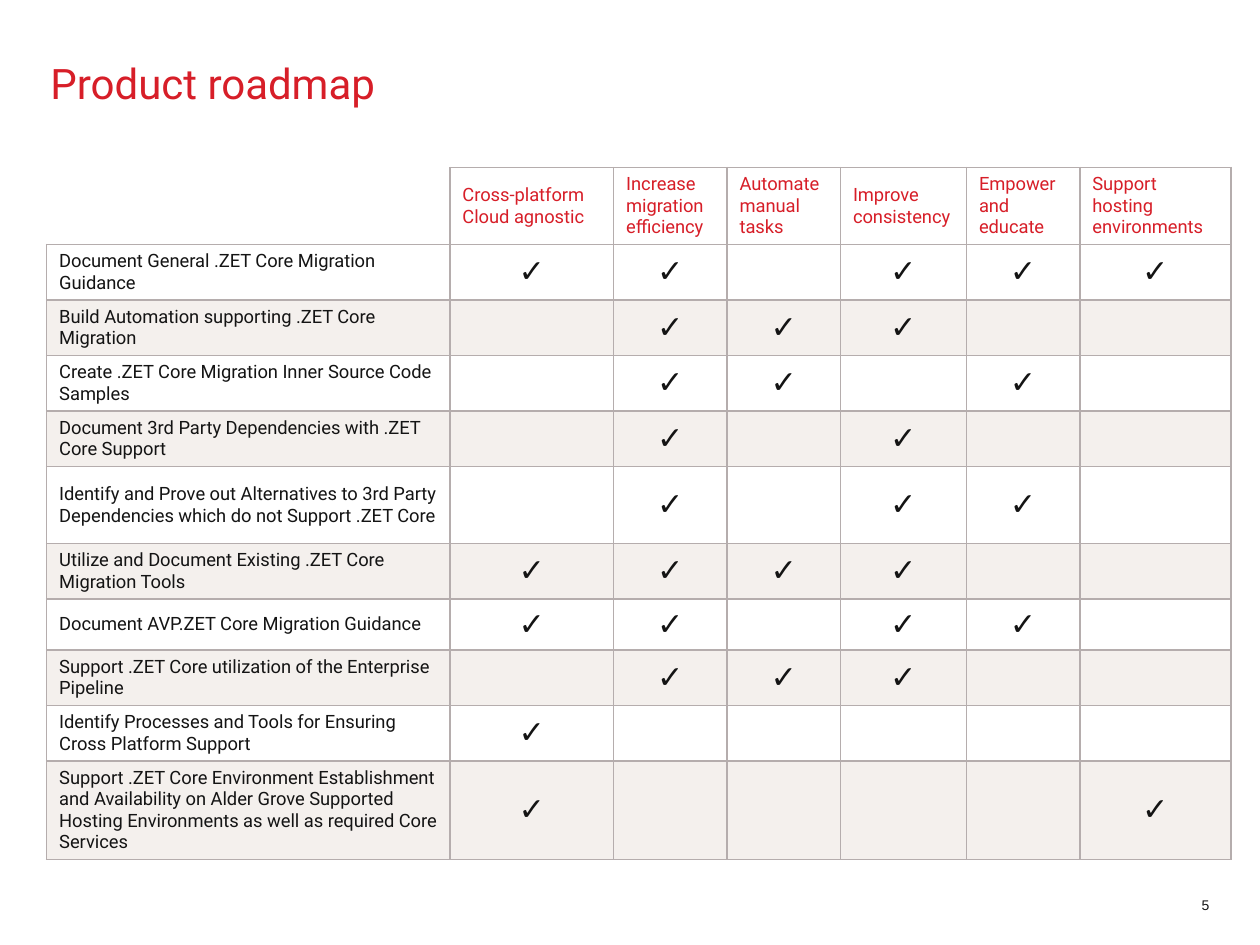
"""Build the product roadmap slide with its table of initiatives and goals."""
from dataclasses import dataclass

from lxml import etree
from pptx import Presentation
from pptx.dml.color import RGBColor
from pptx.enum.text import MSO_ANCHOR, MSO_AUTO_SIZE, PP_ALIGN
from pptx.oxml.ns import qn
from pptx.slide import Slide
from pptx.table import Table, _Cell
from pptx.text.text import TextFrame, _Paragraph
from pptx.util import Inches, Pt

LEFT, CENTER, RIGHT = PP_ALIGN.LEFT, PP_ALIGN.CENTER, PP_ALIGN.RIGHT
TOP, MIDDLE, BOTTOM = MSO_ANCHOR.TOP, MSO_ANCHOR.MIDDLE, MSO_ANCHOR.BOTTOM
NO_AUTOFIT = MSO_AUTO_SIZE.NONE
TITLE_ONLY_LAYOUT = 5


@dataclass(frozen=True)
class Theme:
    red: str = "D71E28"
    ink: str = "141414"
    rule: str = "B5ADAD"
    white: str = "FFFFFF"
    band: str = "F4F0ED"
    font: str = "Roboto"
    number_font: str = "Arial"
    title_size: float = 24
    label_size: float = 10.5
    check_size: float = 18
    number_size: float = 8
    rule_width: float = 1


@dataclass(frozen=True)
class Goal:
    lines: tuple[str, ...]
    width: float


@dataclass(frozen=True)
class Initiative:
    label: str
    line_count: int
    goals: tuple[int, ...]


THEME = Theme()
CHECK = "✓"
LABEL_WIDTH = 3.2
HEADER_LINES = 3
LINE_HEIGHT = 0.17
CELL_PADDING = 0.1
MINIMUM_ROW = 0.39

GOALS = (
    Goal(("Cross-platform", "Cloud agnostic"), 1.3),
    Goal(("Increase migration efficiency",), 0.9),
    Goal(("Automate manual tasks",), 0.9),
    Goal(("Improve consistency",), 1.0),
    Goal(("Empower and educate",), 0.9),
    Goal(("Support hosting environments",), 1.2),
)

INITIATIVES = (
    Initiative("Document General .ZET Core Migration Guidance", 2, (1, 2, 4, 5, 6)),
    Initiative("Build Automation supporting .ZET Core Migration", 2, (2, 3, 4)),
    Initiative("Create .ZET Core Migration Inner Source Code Samples", 2, (2, 3, 5)),
    Initiative("Document 3rd Party Dependencies with .ZET Core Support", 2, (2, 4)),
    Initiative(
        "Identify and Prove out Alternatives to 3rd Party Dependencies "
        "which do not Support .ZET Core", 3, (2, 4, 5)),
    Initiative("Utilize and Document Existing .ZET Core Migration Tools", 2, (1, 2, 3, 4)),
    Initiative("Document AVP.ZET Core Migration Guidance", 1, (1, 2, 4, 5)),
    Initiative("Support .ZET Core utilization of the Enterprise Pipeline", 2, (2, 3, 4)),
    Initiative("Identify Processes and Tools for Ensuring Cross Platform Support", 2, (1,)),
    Initiative(
        "Support .ZET Core Environment Establishment and Availability on "
        "Alder Grove Supported Hosting Environments as well as required "
        "Core Services", 4, (1, 6)),
)


def add_span(para: _Paragraph, text: str, size: float, color: str,
             font: str = THEME.font, align: PP_ALIGN = LEFT) -> None:
    """Add one formatted run to an aligned paragraph."""
    para.alignment = align
    span = para.add_run()
    span.text = text
    span.font.size = Pt(size)
    span.font.name = font
    span.font.color.rgb = RGBColor.from_string(color)


def prepare_frame(frame: TextFrame, anchor: MSO_ANCHOR) -> None:
    """Give a text frame wrapping, no margins and an anchor."""
    frame.word_wrap = True
    frame.auto_size = NO_AUTOFIT
    frame.vertical_anchor = anchor
    frame.margin_left = frame.margin_right = 0
    frame.margin_top = frame.margin_bottom = 0


def style_cell(cell: _Cell, fill: str, sides: str = "LRTB") -> None:
    """Fill a cell and rule the named sides."""
    cell.vertical_anchor = MIDDLE
    cell.fill.solid()
    cell.fill.fore_color.rgb = RGBColor.from_string(fill)
    properties = cell._tc.get_or_add_tcPr()
    for position, side in enumerate(sides):
        line = etree.Element(qn(f"a:ln{side}"), w=str(Pt(THEME.rule_width)))
        solid = etree.SubElement(line, qn("a:solidFill"))
        etree.SubElement(solid, qn("a:srgbClr"), val=THEME.rule)
        properties.insert(position, line)


def row_height(line_count: int) -> int:
    """Return the height of a row holding the given number of label lines."""
    return Inches(max(MINIMUM_ROW, CELL_PADDING + LINE_HEIGHT * line_count))


def add_title(page: Slide) -> None:
    """Place and format the title placeholder."""
    title = page.shapes.title
    title.left, title.top = Inches(0.4), Inches(0.5)
    title.width, title.height = Inches(9.2), Inches(0.48)
    prepare_frame(title.text_frame, TOP)
    para = title.text_frame.paragraphs[0]
    para.line_spacing = 0.9
    add_span(para, "Product roadmap", THEME.title_size, THEME.red)


def add_page_number(page: Slide) -> None:
    """Add the page number at the lower right."""
    box = page.shapes.add_textbox(Inches(9.2), Inches(7), Inches(0.4), Inches(0.25))
    prepare_frame(box.text_frame, BOTTOM)
    add_span(box.text_frame.paragraphs[0], "5", THEME.number_size, THEME.ink,
             THEME.number_font, RIGHT)


def fill_header(table: Table) -> None:
    """Write the goals across the first row."""
    table.rows[0].height = row_height(HEADER_LINES)
    style_cell(table.cell(0, 0), THEME.white, "RB")
    for column, goal in enumerate(GOALS, 1):
        cell = table.cell(0, column)
        style_cell(cell, THEME.white)
        for index, text in enumerate(goal.lines):
            frame = cell.text_frame
            para = frame.add_paragraph() if index else frame.paragraphs[0]
            add_span(para, text, THEME.label_size, THEME.red)


def fill_initiative(table: Table, row: int, initiative: Initiative) -> None:
    """Write one initiative and check the goals it serves."""
    table.rows[row].height = row_height(initiative.line_count)
    for column in range(len(table.columns)):
        cell = table.cell(row, column)
        style_cell(cell, THEME.white if row % 2 else THEME.band)
        para = cell.text_frame.paragraphs[0]
        if column == 0:
            add_span(para, initiative.label, THEME.label_size, THEME.ink)
        elif column in initiative.goals:
            add_span(para, CHECK, THEME.check_size, THEME.ink, align=CENTER)


def add_roadmap(page: Slide) -> None:
    """Add the table of initiatives against goals."""
    widths = (LABEL_WIDTH, *(goal.width for goal in GOALS))
    frame = page.shapes.add_table(
        len(INITIATIVES) + 1, len(widths),
        Inches(0.37), Inches(1.33), Inches(sum(widths)), Inches(5.47))
    table = frame.table
    table.first_row = table.horz_banding = False
    for column, width in zip(table.columns, widths):
        column.width = Inches(width)
    fill_header(table)
    for row, initiative in enumerate(INITIATIVES, 1):
        fill_initiative(table, row, initiative)


def main() -> None:
    """Build and save the deck."""
    deck = Presentation()
    deck.slide_width, deck.slide_height = Inches(10), Inches(7.5)
    page = deck.slides.add_slide(deck.slide_layouts[TITLE_ONLY_LAYOUT])
    add_page_number(page)
    add_roadmap(page)
    add_title(page)
    deck.save("out.pptx")


if __name__ == "__main__":
    main()
